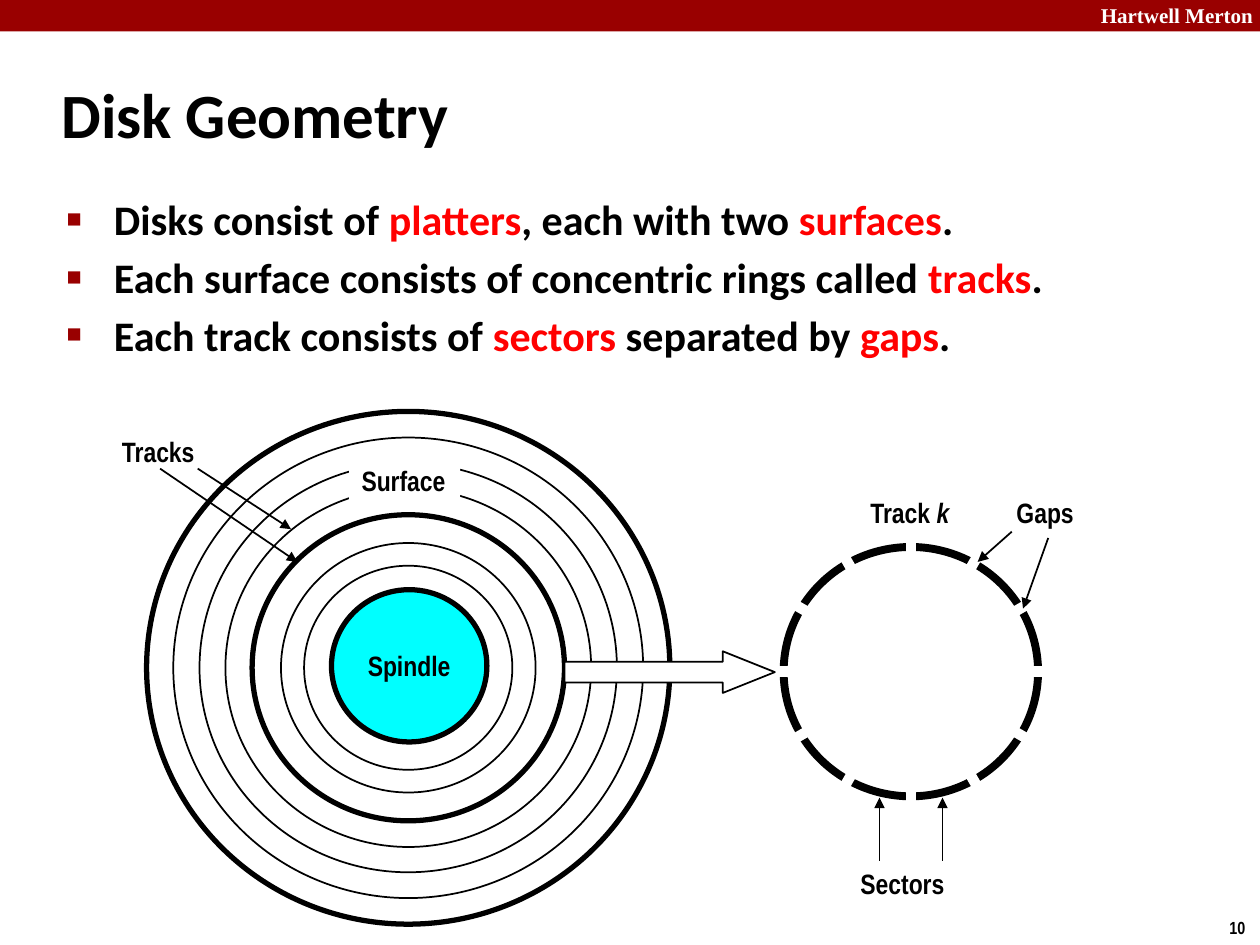
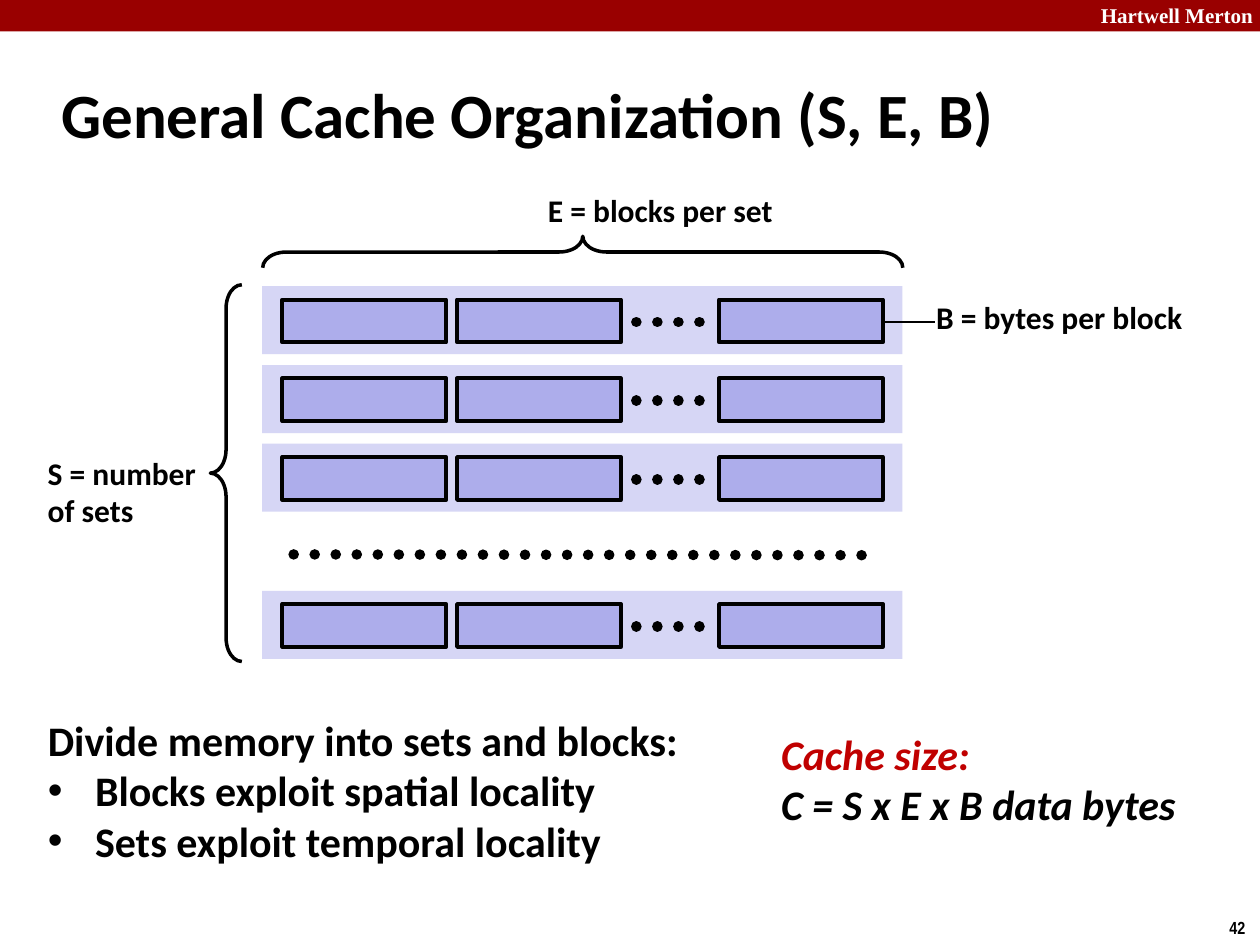
"""Build two lecture slides on disk geometry and cache organization."""
from dataclasses import dataclass
from math import cos, radians, sin
from typing import NamedTuple, Optional, Sequence

from lxml.etree import SubElement
from pptx import Presentation
from pptx.dml.color import RGBColor
from pptx.enum.shapes import MSO_CONNECTOR as Connector, MSO_SHAPE as Preset
from pptx.enum.text import MSO_ANCHOR as Anchor, PP_ALIGN as Align
from pptx.oxml.ns import qn
from pptx.util import Pt

COLORS = {
    "ink": "000000", "paper": "FFFFFF", "band": "990000", "term": "FF0000",
    "spindle": "00FFFF", "set": "D6D6F5", "block": "ADADEB", "formula": "C00000",
}
BODY_FONT, LABEL_FONT, BRAND_FONT = "Calibri", "Arial Narrow", "Times New Roman"
ROUNDNESS = 0.98


class Box(NamedTuple):
    left: float
    top: float
    width: float
    height: float


class Point(NamedTuple):
    x: float
    y: float


class Run(NamedTuple):
    text: str
    color: str = "ink"
    italic: bool = False


@dataclass(frozen=True)
class Bullet:
    char: str
    color: str = "ink"
    percent: int = 100


@dataclass(frozen=True)
class Line:
    runs: Sequence[Run]
    bullet: Optional[Bullet] = None


@dataclass(frozen=True)
class Label:
    box: Box
    lines: Sequence[Line]


@dataclass(frozen=True)
class Track:
    width: float
    weight: float


@dataclass(frozen=True)
class Pointer:
    start: Point
    end: Point


def rgb(name: str) -> RGBColor:
    return RGBColor.from_string(COLORS[name])


def plain(*texts: str, bullet: Optional[Bullet] = None) -> list[Line]:
    return [Line([Run(text)], bullet) for text in texts]


def set_bullet(paragraph, bullet: Bullet) -> None:
    props = paragraph._p.get_or_add_pPr()
    props.set("marL", str(Pt(27)))
    props.set("indent", str(-Pt(27)))
    SubElement(SubElement(props, qn("a:buClr")), qn("a:srgbClr"), val=COLORS[bullet.color])
    SubElement(props, qn("a:buSzPct"), val=str(bullet.percent * 1000))
    SubElement(props, qn("a:buFont"), typeface="Arial")
    SubElement(props, qn("a:buChar"), char=bullet.char)


def write(shape, lines: Sequence[Line], *, font: str = BODY_FONT, size: float = 18,
          wrap: bool = False, anchor=Anchor.TOP, align=Align.LEFT, before: float = 0) -> None:
    frame = shape.text_frame
    frame.word_wrap = wrap
    frame.vertical_anchor = anchor
    for index, line in enumerate(lines):
        paragraph = frame.add_paragraph() if index else frame.paragraphs[0]
        paragraph.alignment = align
        paragraph.space_before = Pt(before)
        if line.bullet:
            set_bullet(paragraph, line.bullet)
        for part in line.runs:
            run = paragraph.add_run()
            run.text = part.text
            run.font.name, run.font.size, run.font.bold = font, Pt(size), True
            run.font.italic = part.italic
            run.font.color.rgb = rgb(part.color)


def add_text(slide, box: Box, lines: Sequence[Line], **text_format) -> None:
    write(slide.shapes.add_textbox(*map(Pt, box)), lines, **text_format)


def add_figure(slide, preset, box: Box, fill: str = "", weight: float = 0,
               adjust: Sequence[float] = ()):
    figure = slide.shapes.add_shape(preset, *map(Pt, box))
    figure.shadow.inherit = False
    if fill:
        figure.fill.solid()
        figure.fill.fore_color.rgb = rgb(fill)
    else:
        figure.fill.background()
    if weight:
        figure.line.color.rgb = rgb("ink")
        figure.line.width = Pt(weight)
    else:
        figure.line.fill.background()
    for index, value in enumerate(adjust):
        figure.adjustments[index] = value
    return figure


def add_ellipse(slide, center: Point, width: float, weight: float, fill: str = ""):
    height = width * ROUNDNESS
    box = Box(center.x - width / 2, center.y - height / 2, width, height)
    return add_figure(slide, Preset.OVAL, box, fill, weight)


def add_stroke(slide, start: Point, end: Point, *, color: str = "ink", weight: float = 1,
               arrow: bool = False, dotted: bool = False) -> None:
    stroke = slide.shapes.add_connector(Connector.STRAIGHT, *map(Pt, (*start, *end)))
    stroke.line.color.rgb = rgb(color)
    stroke.line.width = Pt(weight)
    props = stroke.element.spPr
    outline = props.find(qn("a:ln"))
    if dotted:
        outline.set("cap", "rnd")
        SubElement(outline, qn("a:prstDash"), val="sysDot")
    if arrow:
        SubElement(outline, qn("a:tailEnd"), type="triangle")
    SubElement(props, qn("a:effectLst"))


def start_slide(deck, title: str, number: int):
    slide = deck.slides.add_slide(deck.slide_layouts[6])
    add_figure(slide, Preset.RECTANGLE, Box(0, 0, 720, 18), "band")
    add_text(slide, Box(622, -2, 103, 21.6), [Line([Run("Hartwell Merton", "paper")])],
             font=BRAND_FONT, size=12)
    add_text(slide, Box(695.5, 520.5, 24.5, 19.5), plain(str(number)), font=LABEL_FONT, size=10)
    add_text(slide, Box(28, 34.5, 598, 60), plain(title), size=36, wrap=True,
             anchor=Anchor.MIDDLE)
    return slide


def draw_platter(slide) -> None:
    center = Point(233.3, 381.6)
    tracks = [Track(299, 3), Track(268.5, 1), Track(238.5, 1), Track(209, 1),
              Track(178.5, 3), Track(145.5, 1), Track(119, 1)]
    for track in tracks:
        add_ellipse(slide, center, track.width, track.weight)
    spindle = add_ellipse(slide, Point(233.8, 380.5), 88.8, 3, "spindle")
    write(spindle, plain("Spindle"), font=LABEL_FONT, size=16,
          anchor=Anchor.MIDDLE, align=Align.CENTER)
    surface = add_figure(slide, Preset.RECTANGLE, Box(199.5, 261.5, 63.4, 26.5), "paper")
    write(surface, plain("Surface"), font=LABEL_FONT, size=16)


def draw_sectors(slide) -> None:
    center = Point(520.5, 383.8)
    add_ellipse(slide, center, 145.4, 4.5)
    for angle in range(0, 360, 30):
        rim = Point(center.x + 80 * cos(radians(angle)), center.y + 80 * sin(radians(angle)))
        add_stroke(slide, center, rim, color="paper", weight=6)


def build_disk_slide(deck) -> None:
    slide = start_slide(deck, "Disk Geometry", 10)
    square = Bullet("■", "band", 60)
    facts = [
        ("Disks consist of ", "platters", ", each with two ", "surfaces", "."),
        ("Each surface consists of concentric rings called ", "tracks", "."),
        ("Each track consists of ", "sectors", " separated by ", "gaps", "."),
    ]
    lines = [Line([Run(text, "term" if index % 2 else "ink") for index, text in enumerate(fact)],
                  square) for fact in facts]
    add_text(slide, Box(31, 107.3, 622, 391.7), lines, size=24, wrap=True, before=4.1)

    draw_platter(slide)
    draw_sectors(slide)
    add_figure(slide, Preset.RIGHT_ARROW, Box(322.6, 372.2, 120.2, 23.8), "paper", 1,
               (0.5, 1.25))

    labels = [
        Label(Box(62.6, 244.8, 56.9, 26.6), plain("Tracks")),
        Label(Box(490.3, 279.4, 62.6, 26.6), [Line([Run("Track "), Run("k", italic=True)])]),
        Label(Box(484.6, 491.8, 63.4, 26.6), plain("Sectors")),
        Label(Box(573.8, 279.4, 47.5, 26.6), plain("Gaps")),
    ]
    for label in labels:
        add_text(slide, label.box, label.lines, font=LABEL_FONT, size=16)

    pointers = [
        Pointer(Point(91.5, 267.8), Point(169.9, 321.1)),
        Pointer(Point(113, 267.8), Point(166.3, 302.4)),
        Pointer(Point(502.6, 491.8), Point(502.6, 455.8)),
        Pointer(Point(538.6, 491.8), Point(538.6, 455.8)),
        Pointer(Point(578.2, 303.8), Point(558.7, 321.1)),
        Pointer(Point(599, 307.4), Point(584.6, 347.8)),
    ]
    for pointer in pointers:
        add_stroke(slide, pointer.start, pointer.end, arrow=True)


def draw_cache_set(slide, top: float) -> None:
    add_figure(slide, Preset.RECTANGLE, Box(149.8, top, 365.8, 38.9), "set")
    for left in (161.4, 261.2, 410.9):
        add_figure(slide, Preset.RECTANGLE, Box(left, top + 7.6, 93.6, 24.5), "block", 2.25)
    add_stroke(slide, Point(363.6, top + 20.4), Point(411.5, top + 20.4), weight=6, dotted=True)


def build_cache_slide(deck) -> None:
    slide = start_slide(deck, "General Cache Organization (S, E, B)", 42)
    first_top, pitch, last_top = 163.6, 45, 337.6
    for top in [first_top + pitch * row for row in range(3)] + [last_top]:
        draw_cache_set(slide, top)
    add_stroke(slide, Point(167.8, 316.8), Point(504, 317.3), weight=6, dotted=True)
    add_stroke(slide, Point(504.5, 184), Point(534.2, 184), weight=0.75)

    blocks_brace = add_figure(slide, Preset.LEFT_BRACE, Box(324, -38.9, 18, 365.8),
                              weight=2, adjust=(0.75, 0.5))
    blocks_brace.rotation = 90
    add_figure(slide, Preset.LEFT_BRACE, Box(120.2, 162.7, 18, 215.3),
               weight=2, adjust=(0.75, 0.5))

    labels = [
        Label(Box(306, 105.8, 144.7, 29), plain("E = blocks per set")),
        Label(Box(20.2, 255.6, 100, 51), plain("S = number", "of sets")),
        Label(Box(527.8, 167, 157, 29), plain("B = bytes per block")),
    ]
    for label in labels:
        add_text(slide, label.box, label.lines)

    add_text(slide, Box(439.2, 412.6, 248.4, 65.5),
             [Line([Run("Cache size:", "formula", True)]),
              Line([Run("C = S x E x B data bytes", italic=True)])], size=24)
    add_text(slide, Box(20.2, 404.6, 375.8, 94.3),
             plain("Divide memory into sets and blocks:")
             + plain("Blocks exploit spatial locality", "Sets exploit temporal locality",
                     bullet=Bullet("•")), size=24, wrap=True)


def main() -> None:
    deck = Presentation()
    deck.slide_width, deck.slide_height = Pt(720), Pt(540)
    build_disk_slide(deck)
    build_cache_slide(deck)
    deck.save("out.pptx")


if __name__ == "__main__":
    main()
